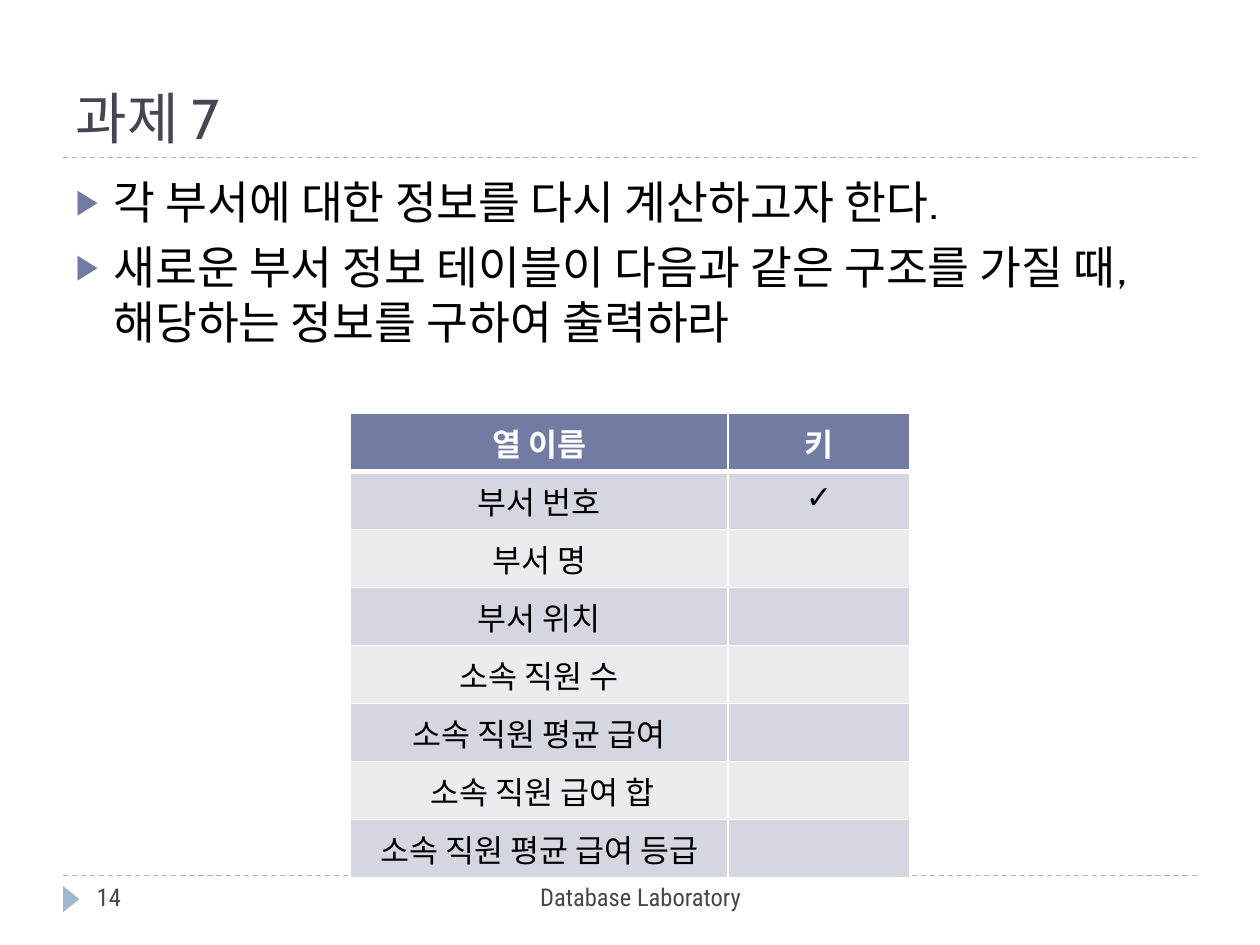
from lxml import etree
from pptx import Presentation
from pptx.dml.color import RGBColor
from pptx.enum.dml import MSO_LINE
from pptx.enum.shapes import MSO_CONNECTOR, MSO_SHAPE
from pptx.enum.text import MSO_ANCHOR, MSO_AUTO_SIZE, PP_ALIGN
from pptx.oxml.ns import qn
from pptx.util import Cm, Pt

STRAIGHT = MSO_CONNECTOR.STRAIGHT
TRIANGLE = MSO_SHAPE.ISOSCELES_TRIANGLE
DASH = MSO_LINE.DASH
LEFT, CENTER = PP_ALIGN.LEFT, PP_ALIGN.CENTER
TOP, BOTTOM = MSO_ANCHOR.TOP, MSO_ANCHOR.BOTTOM
NO_AUTOFIT = MSO_AUTO_SIZE.NONE

COLORS = {
    "rule": "9FB8CD",
    "heading": "464653",
    "text": "000000",
    "accent": "727CA3",
    "band_dark": "D5D7E0",
    "band_light": "EBECF0",
    "white": "FFFFFF",
}
KOREAN_FONT = "Noto Sans CJK KR"
FOOTER_FONT = "Roboto Condensed"
LATIN_FONT = "Cabin"

BODY_LINES = [
    "각 부서에 대한 정보를 다시 계산하고자 한다.",
    "새로운 부서 정보 테이블이 다음과 같은 구조를 가질 때, 해당하는 정보를 구하여 출력하라",
]
TABLE_ROWS = [
    ("열 이름", "키"),
    ("부서 번호", "✓"),
    ("부서 명", ""),
    ("부서 위치", ""),
    ("소속 직원 수", ""),
    ("소속 직원 평균 급여", ""),
    (" 소속 직원 급여 합", ""),
    ("소속 직원 평균 급여 등급", ""),
]


def color(name):
    return RGBColor.from_string(COLORS[name])


def format_runs(paragraph, size, color_name, latin_font=LATIN_FONT, bold=False):
    for run in paragraph.runs:
        run.font.size = Pt(size)
        run.font.name = latin_font
        run.font.bold = bold
        run.font.color.rgb = color(color_name)
        east_asian = etree.SubElement(run.font._element, qn("a:ea"))
        east_asian.set("typeface", KOREAN_FONT)


def place(shape, left, top, width, height):
    shape.left, shape.top = Cm(left), Cm(top)
    shape.width, shape.height = Cm(width), Cm(height)


def add_rule(slide, top):
    rule = slide.shapes.add_connector(STRAIGHT, Cm(1.27), Cm(top), Cm(24.13), Cm(top))
    rule.line.color.rgb = color("rule")
    rule.line.width = Pt(0.75)
    rule.line.dash_style = DASH
    etree.SubElement(rule._element.spPr, qn("a:effectLst"))


def add_marker(slide):
    marker = slide.shapes.add_shape(TRIANGLE, Cm(1.17), Cm(17.96), Cm(0.53), Cm(0.33))
    marker.rotation = 90
    marker.shadow.inherit = False
    marker.fill.solid()
    marker.fill.fore_color.rgb = color("rule")
    marker.line.fill.background()


def fill_title(slide):
    title = slide.shapes.title
    place(title, 1.27, 0.43, 22.86, 2.74)
    text_frame = title.text_frame
    text_frame.text = "과제 7"
    text_frame.auto_size = NO_AUTOFIT
    text_frame.vertical_anchor = BOTTOM
    paragraph = text_frame.paragraphs[0]
    paragraph.alignment = LEFT
    format_runs(paragraph, 32, "heading")


def add_bullet(paragraph):
    properties = paragraph._p.get_or_add_pPr()
    properties.set("marL", str(Cm(0.76)))
    properties.set("indent", str(-Cm(0.76)))
    bullet_color = etree.SubElement(properties, qn("a:buClr"))
    etree.SubElement(bullet_color, qn("a:srgbClr")).set("val", COLORS["accent"])
    etree.SubElement(properties, qn("a:buSzPct")).set("val", "76000")
    etree.SubElement(properties, qn("a:buChar")).set("char", "▶")


def fill_body(slide):
    body = slide.placeholders[1]
    place(body, 1.27, 3.38, 22.86, 13.72)
    text_frame = body.text_frame
    text_frame.text = "\n".join(BODY_LINES)
    text_frame.auto_size = NO_AUTOFIT
    text_frame.vertical_anchor = TOP
    for index, paragraph in enumerate(text_frame.paragraphs):
        add_bullet(paragraph)
        paragraph.space_before = Pt(6 if index else 0)
        format_runs(paragraph, 26, "text")


def add_footer_text(slide, text, left, width, alignment):
    box = slide.shapes.add_textbox(Cm(left), Cm(17.65), Cm(width), Cm(1.02))
    box.text_frame.word_wrap = True
    box.text_frame.text = text
    paragraph = box.text_frame.paragraphs[0]
    paragraph.alignment = alignment
    format_runs(paragraph, 14, "heading", FOOTER_FONT)


def set_borders(cell, top_width, bottom_width):
    properties = cell._tc.get_or_add_tcPr()
    widths = {"lnL": 1, "lnR": 1, "lnT": top_width, "lnB": bottom_width}
    for side, width in widths.items():
        border = etree.SubElement(properties, qn(f"a:{side}"))
        border.set("w", str(Pt(width)))
        fill = etree.SubElement(border, qn("a:solidFill"))
        etree.SubElement(fill, qn("a:srgbClr")).set("val", COLORS["white"])


def fill_cell(cell, text, row_index):
    is_header = row_index == 0
    band = "band_dark" if row_index % 2 else "band_light"
    set_borders(cell, 3 if row_index == 1 else 1, 3 if is_header else 1)
    cell.fill.solid()
    cell.fill.fore_color.rgb = color("accent" if is_header else band)
    cell.text = text
    paragraph = cell.text_frame.paragraphs[0]
    paragraph.alignment = CENTER
    format_runs(paragraph, 18, "white" if is_header else "text", bold=is_header)


def add_column_table(slide):
    row_height = 1.17
    frame = slide.shapes.add_table(
        len(TABLE_ROWS), 2, Cm(7.06), Cm(8.33), Cm(11.28), Cm(row_height * len(TABLE_ROWS))
    )
    table = frame.table
    for column, width in zip(table.columns, (7.62, 3.66)):
        column.width = Cm(width)
    for row_index, texts in enumerate(TABLE_ROWS):
        table.rows[row_index].height = Cm(row_height)
        for column_index, text in enumerate(texts):
            fill_cell(table.cell(row_index, column_index), text, row_index)


def main():
    presentation = Presentation()
    presentation.slide_width, presentation.slide_height = Cm(25.4), Cm(19.05)
    slide = presentation.slides.add_slide(presentation.slide_layouts[1])
    for top in (17.65, 3.17):
        add_rule(slide, top)
    add_marker(slide)
    fill_title(slide)
    fill_body(slide)
    add_footer_text(slide, "Database Laboratory", 8.05, 9.73, CENTER)
    add_footer_text(slide, "14", 1.7, 5.51, LEFT)
    add_column_table(slide)
    presentation.save("out.pptx")


if __name__ == "__main__":
    main()
